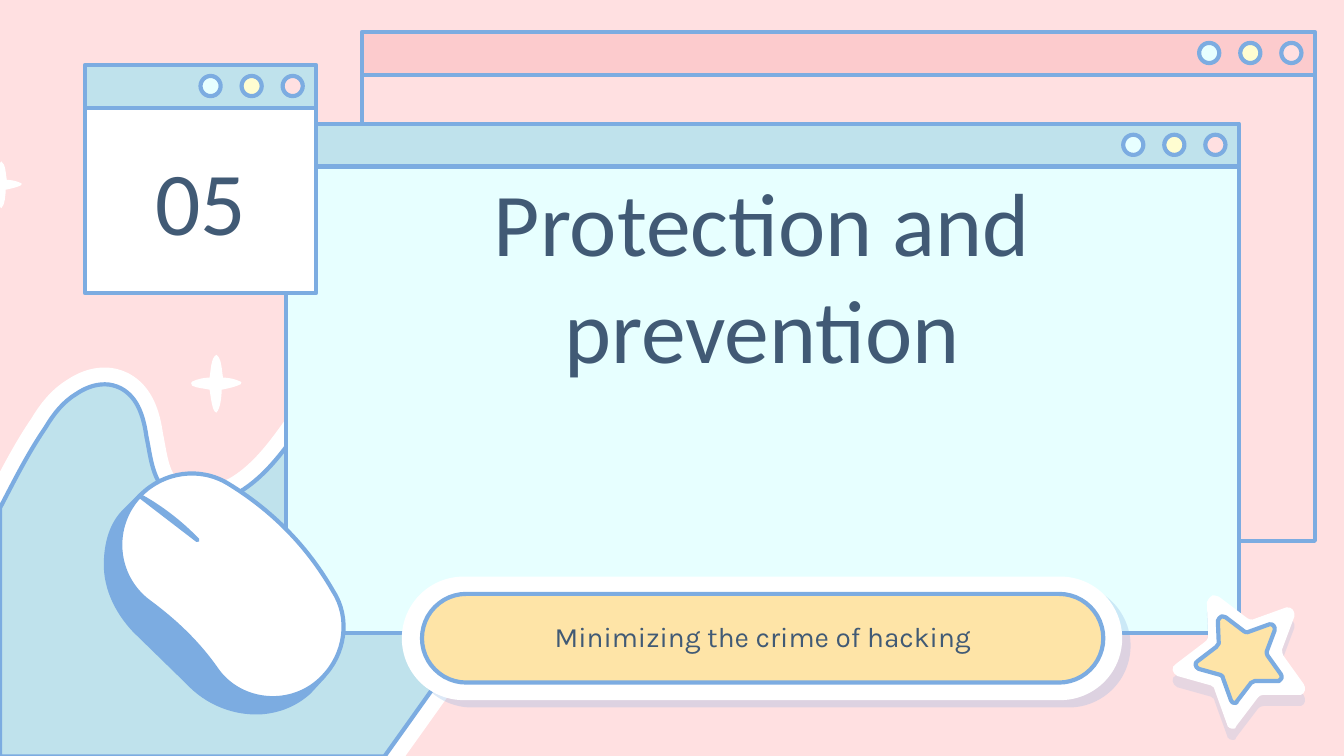
from lxml import etree
from pptx import Presentation
from pptx.dml.color import RGBColor as RGB
from pptx.enum.shapes import MSO_SHAPE as SHAPE
from pptx.enum.text import MSO_ANCHOR as ANCHOR, PP_ALIGN as ALIGN
from pptx.oxml.ns import qn
from pptx.util import Pt

COLORS = {
    "pink": "FFE0E1", "rose": "FCCBCD", "sky": "BFE2EC", "ice": "E7FFFF",
    "cream": "FFFDD1", "gold": "FEE4A7", "blue": "7CACE1", "white": "FFFFFF",
    "ink": "415A75",
}
UNIT = 0.72  # points per outline unit

# Outlines: M = start, L = line, C = cubic curve, Z = close
WAVE = """M 333 247 C 304 247 275 260 254 280 C 228 305 213 342 183 363
C 173 370 160 375 148 375 C 139 375 130 372 123 365 C 113 355 112 339 109 325
C 107 311 103 296 90 289 C 86 287 82 286 78 286 C 70 286 63 289 57 293
C 47 299 40 308 34 318 C 21 337 11 357 0 378 L 0 563 L 286 563
C 321 514 356 465 390 415 C 406 392 422 368 425 341 C 428 302 400 264 362 252
C 353 249 343 247 333 247 Z"""
MOUSE_SIDE = """M 105 368 L 241 503 L 230 515 C 220 524 208 529 194 530
C 174 531 154 523 140 508 L 100 469 C 86 454 77 435 79 414
C 80 401 84 388 94 379 Z"""
MOUSE_TOP = """M 105 368 C 122 351 149 347 170 360 C 201 379 228 405 248 440
C 261 460 257 487 240 504 C 218 527 179 524 161 498 C 147 478 130 462 111 448
C 85 429 82 391 105 368 Z"""
MOUSE_SLIT = "M 104 369 C 104 369 126 380 147 402 L 104 369 Z"
# The star and the sparkle are drawn around (0, 0)
STAR = """M -19.5 -45 C -18.5 -45 -16.5 -45 -14.5 -44 L 6.5 -28
C 7.5 -27 9.5 -27 10.5 -27 L 35.5 -36 C 39.5 -37 42.5 -33 41.5 -29
L 32.5 -5 C 32.5 -3 32.5 -1 33.5 0 L 48.5 21 C 50.5 24 49.5 28 46.5 29
C 46.5 29 45.5 29 44.5 29 L 18.5 29 C 16.5 29 15.5 30 14.5 31 L -1.5 52
C -1.5 53 -2.5 53 -2.5 54 C -5.5 55 -8.5 53 -8.5 51 L -17.5 26
C -17.5 24 -18.5 23 -20.5 22 L -45.5 15 C -49.5 13 -50.5 8 -46.5 6
L -25.5 -10 C -23.5 -11 -23.5 -12 -22.5 -14 L -23.5 -40
C -22.5 -42 -21.5 -44 -19.5 -45 Z"""
SPARKLE = """M 0 -21.5 C -4 -19 -4 -10.5 -5 -4.5 C -9 -4.5 -14 -3.5 -18 -1.5
C -19 -1.5 -19 0.5 -18 1.5 C -14 3.5 -9 3.5 -5 4.5 C -4 10.5 -3 21 0 21.5
C 3 19 4 9.5 4 4.5 C 9 3.5 14 2.5 18 0.5 C 19 -0.5 19 -1.5 18 -1.5
C 14 -3.5 9 -4.5 5 -4.5 C 4 -10.5 4 -19 0 -21.5 Z"""


def outline_steps(outline):
    """Split an outline into steps, each a list of one or three points."""
    steps, nums, need = [], [], 2
    for token in outline.split():
        if token in "MLCZ":
            need = 6 if token == "C" else 2
            continue
        nums.append(float(token))
        if len(nums) == need:
            steps.append(list(zip(nums[::2], nums[1::2])))
            nums = []
    return steps


class Deck:
    def __init__(self, width, height):
        self.prs = Presentation()
        self.prs.slide_width, self.prs.slide_height = Pt(width), Pt(height)
        self.s = self.prs.slides.add_slide(self.prs.slide_layouts[6])
        self.line_width = 2.25

    def color(self, name):
        return RGB.from_string(COLORS[name])

    def background(self, name):
        fill = self.s.background.fill
        fill.solid()
        fill.fore_color.rgb = self.color(name)

    def paint(self, sp, fill, line="blue", width=None):
        sp.shadow.inherit = False
        sp.fill.solid()
        sp.fill.fore_color.rgb = self.color(fill)
        if line:
            sp.line.color.rgb = self.color(line)
            sp.line.width = Pt(width or self.line_width)
        else:
            sp.line.fill.background()
        return sp

    def shape(self, kind, x, y, w, h, fill, line="blue"):
        sp = self.s.shapes.add_shape(kind, Pt(x), Pt(y), Pt(w), Pt(h))
        return self.paint(sp, fill, line)

    def free(self, outline, fill, line="blue", width=None, center=(0, 0), scale=1):
        steps = [[tuple(Pt(UNIT * (c + scale * v)) for c, v in zip(center, point))
                  for point in step] for step in outline_steps(outline)]
        ends = [step[-1] for step in steps]
        builder = self.s.shapes.build_freeform(*ends[0])
        builder.add_line_segments(ends[1:], close=False)
        sp = builder.convert_to_shape()
        # Bend the segments that have control points, then close the path
        path = next(sp._element.iter(qn("a:path")))
        for segment, step in zip(list(path)[1:], steps[1:]):
            if len(step) == 3:
                curve = etree.Element(qn("a:cubicBezTo"))
                for x, y in step:
                    etree.SubElement(curve, qn("a:pt"), x=str(x - sp.left),
                                     y=str(y - sp.top))
                path.replace(segment, curve)
        etree.SubElement(path, qn("a:close"))
        return self.paint(sp, fill, line, width)

    def shadow(self, sp, alpha, angle):
        effects = sp._element.spPr.find(qn("a:effectLst"))
        outer = etree.SubElement(effects, qn("a:outerShdw"), dist=str(Pt(6)),
                                 dir=str(angle * 60000), algn="bl", rotWithShape="0")
        clr = etree.SubElement(outer, qn("a:srgbClr"), val=COLORS["blue"])
        etree.SubElement(clr, qn("a:alpha"), val=str(alpha * 1000))

    def pill(self, x, y, w, h, fill, line="blue"):
        sp = self.shape(SHAPE.ROUNDED_RECTANGLE, x, y, w, h, fill, line)
        sp.adjustments[0] = 0.5
        return sp

    def window(self, x, y, w, h, body, bar):
        bar_h = 22.9
        self.shape(SHAPE.RECTANGLE, x, y + bar_h, w, h, body)
        sp = self.shape(SHAPE.ROUND_2_SAME_RECTANGLE, x, y, w, bar_h, bar)
        sp.adjustments[0] = sp.adjustments[1] = 0
        for i, fill in enumerate(("ice", "cream", "pink")):
            self.shape(SHAPE.OVAL, x + w - 62 + 22 * i, y + 5.9, 10.8, 10.8, fill)

    def text(self, x, y, w, h, words, size, font, anchor):
        tf = self.s.shapes.add_textbox(Pt(x), Pt(y), Pt(w), Pt(h)).text_frame
        tf.word_wrap = True
        tf.vertical_anchor = anchor
        tf.margin_left = tf.margin_right = tf.margin_top = tf.margin_bottom = Pt(7.2)
        p = tf.paragraphs[0]
        p.alignment = ALIGN.CENTER
        r = p.add_run()
        r.text = words
        r.font.size, r.font.name = Pt(size), font
        r.font.color.rgb = self.color("ink")


def main():
    deck = Deck(720, 405)
    deck.background("pink")

    # Wave with a wide white rim, and the edge sparkle
    deck.free(WAVE, "sky", "white", 18)
    deck.free(WAVE, "sky")
    deck.free(SPARKLE, "white", None, center=(1, 137.5), scale=0.81)

    # Windows
    deck.window(193.9, 17.1, 510.5, 249.8, "pink", "rose")
    deck.window(153.2, 66.3, 510.5, 249.8, "ice", "sky")
    deck.window(45.5, 34.8, 123.9, 99.4, "white", "sky")

    # Title and section number
    deck.text(172.1, 108, 472.3, 103.7, "Protection and prevention", 48,
              "Calibri", ANCHOR.BOTTOM)
    deck.text(69.1, 70.6, 77, 72.7, "05", 48, "Calibri", ANCHOR.MIDDLE)

    # Subtitle pill
    deck.shadow(deck.pill(215.3, 308.9, 385.9, 66.2, "white", None), 25, 41)
    deck.pill(226.1, 318.2, 365, 47.5, "gold")
    deck.text(236.2, 324.7, 344.9, 33.8, "Minimizing the crime of hacking", 15,
              "Karla", ANCHOR.TOP)

    # Computer mouse
    deck.free(MOUSE_SIDE, "blue")
    deck.free(MOUSE_TOP, "white")
    deck.free(MOUSE_SLIT, "ice")

    # Star and sparkle
    star_center = (921.5, 488)
    deck.shadow(deck.free(STAR, "white", None, center=star_center), 19, 90)
    deck.free(STAR, "gold", center=star_center, scale=0.65)
    deck.free(SPARKLE, "white", None, center=(161, 285.5))

    deck.prs.save("out.pptx")


if __name__ == "__main__":
    main()
